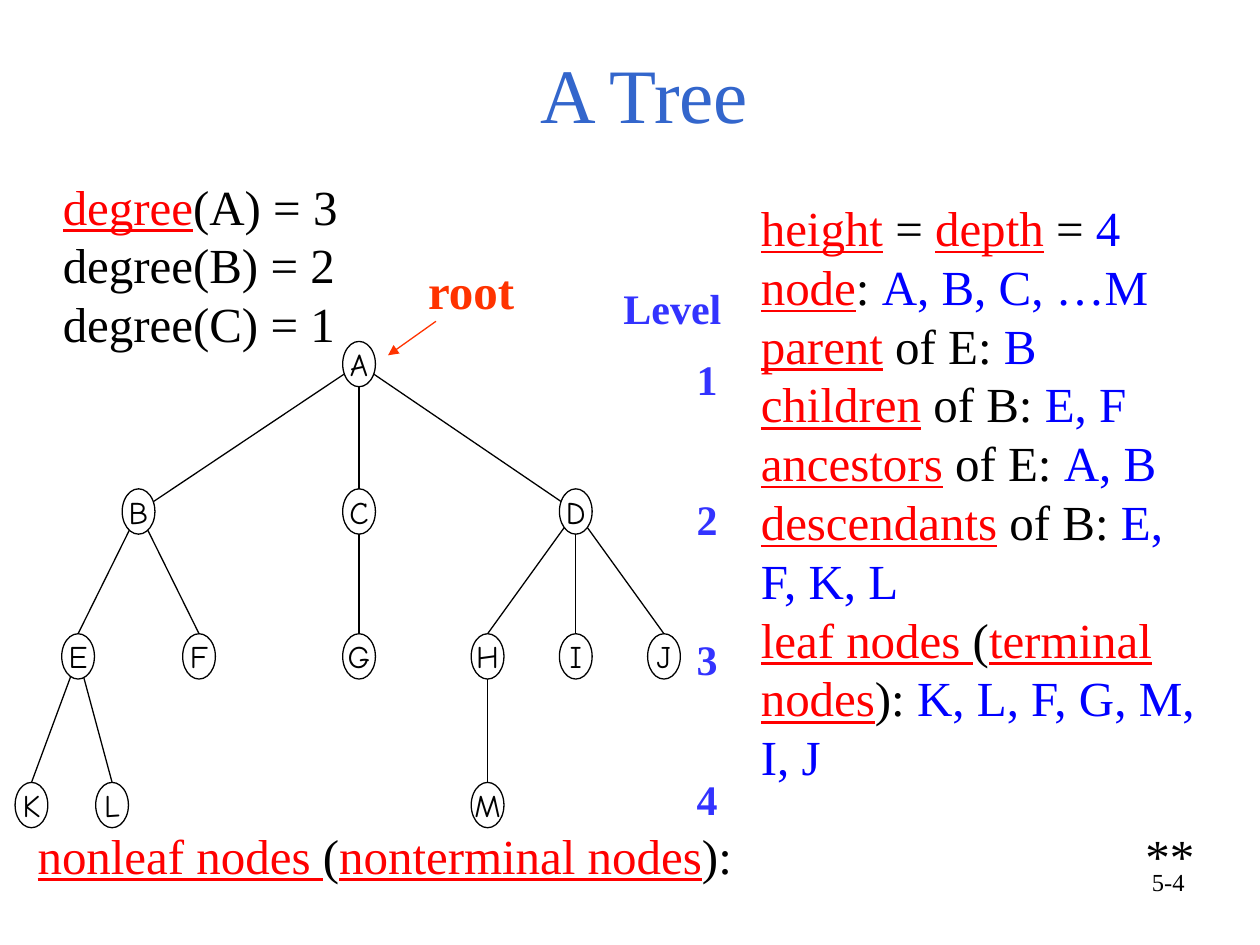
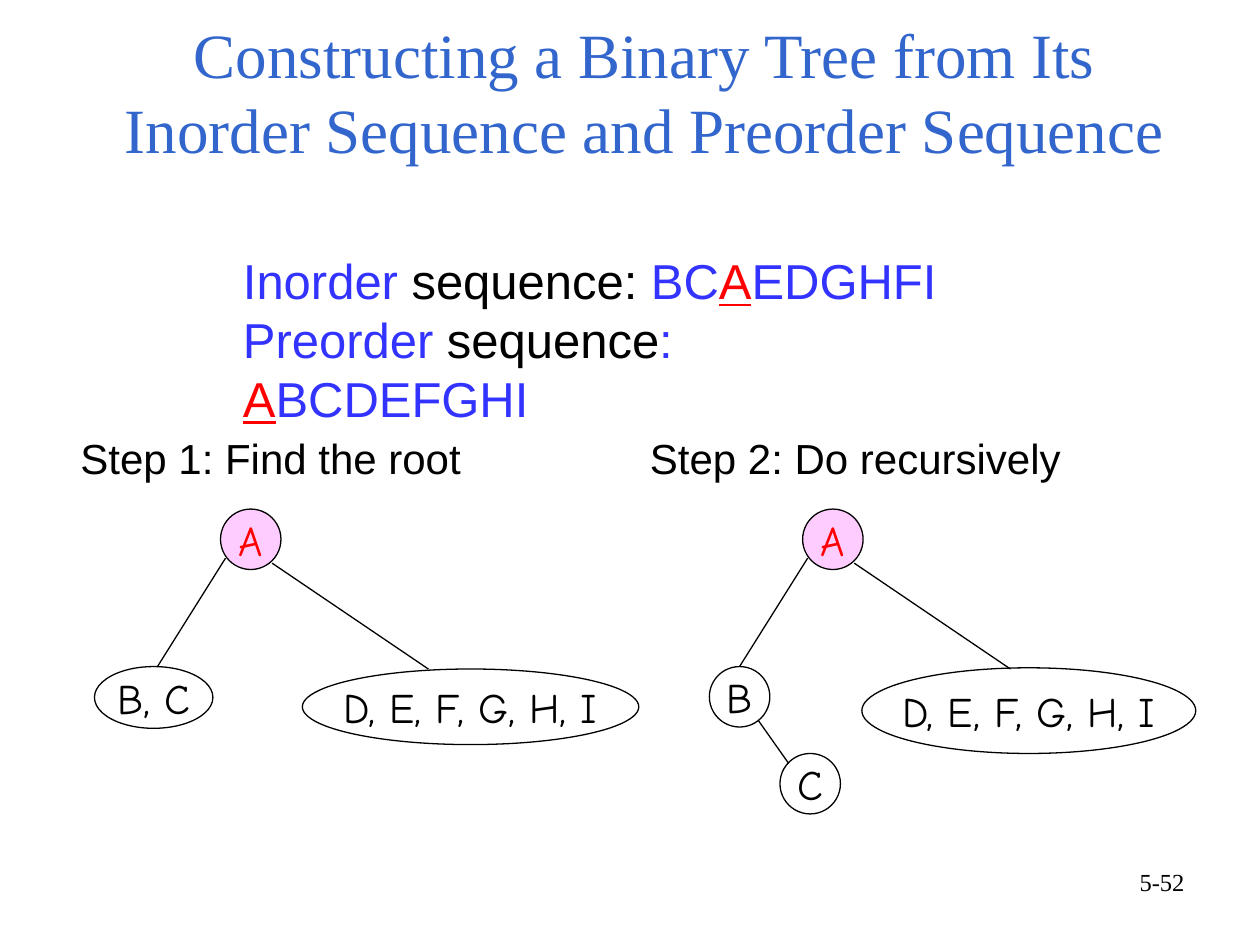
"""Build two slides about trees: terms, and construction from sequences."""
from math import hypot
from typing import NamedTuple, Optional

from lxml.etree import SubElement
from pptx import Presentation
from pptx.dml.color import RGBColor
from pptx.enum.shapes import MSO_CONNECTOR as Link, MSO_SHAPE as Form
from pptx.enum.text import MSO_ANCHOR as Anchor, PP_ALIGN as Align
from pptx.oxml.ns import qn
from pptx.slide import Slide
from pptx.util import Inches, Pt

BLACK = RGBColor(0x00, 0x00, 0x00)
RED = RGBColor(0xFF, 0x00, 0x00)
ORANGE = RGBColor(0xFF, 0x33, 0x00)
BLUE = RGBColor(0x00, 0x00, 0xFF)
VIOLET = RGBColor(0x33, 0x33, 0xFF)
TITLE = RGBColor(0x33, 0x66, 0xCC)
PINK = RGBColor(0xFF, 0xCC, 0xFF)
SERIF, SANS, COMIC = "Times New Roman", "Arial", "Comic Neue"
LEADING = 1.2
NODE_W, NODE_H = 0.26, 0.36
ROWS = [2.71, 3.88, 5.03, 6.21]


class Run(NamedTuple):
    """A piece of text with its colour and underline."""
    text: str
    color: Optional[RGBColor] = None
    under: bool = False


class Box(NamedTuple):
    """A frame in inches."""
    x: float
    y: float
    w: float
    h: float


class Point(NamedTuple):
    """A place in inches."""
    x: float
    y: float


class Node(NamedTuple):
    """An oval of a tree."""
    text: str
    box: Box
    size: int = 24
    color: RGBColor = BLACK
    fill: Optional[RGBColor] = None


def term(text: str) -> Run:
    """Return a red underlined run."""
    return Run(text, RED, True)


def write(frame, paras: list, *, size: int, font: str = SERIF,
          color: RGBColor = BLACK, bold: bool = False, align=Align.LEFT,
          anchor=Anchor.TOP, wrap: bool = True, tab: float = 0,
          lead: float = LEADING) -> None:
    """Fill a text frame with paragraphs made of runs or plain strings."""
    frame.word_wrap = wrap
    frame.vertical_anchor = anchor
    for i, runs in enumerate(paras):
        para = frame.add_paragraph() if i else frame.paragraphs[0]
        para.alignment = align
        if lead:
            para.line_spacing = Pt(round(size * lead, 1))
        if tab:
            stops = SubElement(para._p.get_or_add_pPr(), qn("a:tabLst"))
            SubElement(stops, qn("a:tab"), pos=str(Inches(tab)), algn="r")
        for item in [runs] if isinstance(runs, str) else runs:
            part = Run(item) if isinstance(item, str) else item
            run = para.add_run()
            run.text = part.text
            run.font.name, run.font.size = font, Pt(size)
            run.font.bold, run.font.underline = bold, part.under
            run.font.color.rgb = part.color or color


def label(slide: Slide, box: Box, paras: list, **style) -> None:
    """Add a text box."""
    shape = slide.shapes.add_textbox(*map(Inches, box))
    write(shape.text_frame, paras, **style)


def draw_node(slide: Slide, node: Node) -> None:
    """Draw an oval with its text."""
    oval = slide.shapes.add_shape(Form.OVAL, *map(Inches, node.box))
    oval.shadow.inherit = False
    if node.fill:
        oval.fill.solid()
        oval.fill.fore_color.rgb = node.fill
    else:
        oval.fill.background()
    oval.line.color.rgb, oval.line.width = BLACK, Pt(0.75)
    write(oval.text_frame, [node.text], size=node.size, font=COMIC,
          color=node.color, align=Align.CENTER, anchor=Anchor.MIDDLE,
          wrap=False, lead=0)


def draw_line(slide: Slide, start: Point, end: Point,
              color: RGBColor = BLACK, arrow: bool = False) -> None:
    """Draw a straight line, with an arrowhead at its end on request."""
    line = slide.shapes.add_connector(
        Link.STRAIGHT, *map(Inches, (*start, *end)))
    line.line.color.rgb, line.line.width = color, Pt(0.75)
    props = line._element.spPr
    if arrow:
        SubElement(props.find(qn("a:ln")), qn("a:tailEnd"), type="triangle")
    SubElement(props, qn("a:effectLst"))


def rim(box: Box, goal: Point) -> Point:
    """Return the point where an oval's rim faces a goal."""
    x, y = box.x + box.w / 2, box.y + box.h / 2
    dx, dy = goal.x - x, goal.y - y
    part = 1 / hypot(dx / (box.w / 2), dy / (box.h / 2))
    return Point(x + dx * part, y + dy * part)


def center(box: Box) -> Point:
    """Return the middle of a box."""
    return Point(box.x + box.w / 2, box.y + box.h / 2)


def new_slide(deck, title: str, box: Box, size: int, number: str) -> Slide:
    """Add a blank slide with the shared title and page number."""
    slide = deck.slides.add_slide(deck.slide_layouts[6])
    label(slide, box, [title], size=size, color=TITLE,
          align=Align.CENTER, anchor=Anchor.BOTTOM)
    label(slide, Box(7.17, 6.83, 2.33, 0.52), [number], size=14,
          align=Align.RIGHT)
    return slide


def draw_tree(slide: Slide) -> None:
    """Draw the four-level tree with edges from parent to child."""
    levels = [
        {"A": 2.72},
        {"B": 0.97, "C": 2.72, "D": 4.44},
        {"E": 0.49, "F": 1.45, "G": 2.72, "H": 3.74, "I": 4.44, "J": 5.14},
        {"K": 0.12, "L": 0.76, "M": 3.74},
    ]
    boxes = {name: Box(x, y, NODE_W, NODE_H)
             for y, row in zip(ROWS, levels) for name, x in row.items()}
    for name, box in boxes.items():
        draw_node(slide, Node(name, box, 18))
    kids = {"A": "BCD", "B": "EF", "C": "G", "D": "HIJ", "E": "KL", "H": "M"}
    for name, group in kids.items():
        for kid in group:
            top, low = boxes[name], boxes[kid]
            if name == "A":
                end = rim(low, center(top))
            else:
                end = Point(low.x + low.w / 2, low.y)
            draw_line(slide, rim(top, end), end)


def tree_slide(deck) -> None:
    """Build the slide on tree terms."""
    slide = new_slide(deck, "A Tree", Box(0.75, 0.38, 8.73, 0.77), 44, "5-4")
    draw_tree(slide)
    label(slide, Box(4.85, 2.19, 1.14, 0.5), ["Level"], size=24,
          color=VIOLET, bold=True)
    for i in range(4):
        label(slide, Box(5.43, 2.76 + 1.11 * i, 0.43, 0.5), [str(i + 1)],
              size=24, color=VIOLET, bold=True)
    draw_line(slide, Point(3.46, 2.55), Point(3.08, 2.82), ORANGE, True)
    label(slide, Box(3.3, 2.02, 1.03, 0.57), ["root"], size=28,
          color=ORANGE, bold=True)
    label(slide, Box(0.4, 1.35, 2.57, 1.5),
          [[term("degree"), "(A) = 3"], "degree(B) = 2", "degree(C) = 1"],
          size=28)
    label(slide, Box(0.2, 6.5, 9.4, 0.57),
          [[term("nonleaf nodes "), "(", term("nonterminal nodes"),
            "):\t**"]], size=28, tab=9.18)
    facts = [
        ("node", ": ", "A, B, C, …M"),
        ("parent", " of E: ", "B"),
        ("children", " of B: ", "E, F"),
        ("ancestors", " of E: ", "A, B"),
        ("descendants", " of B: ", "E, F, K, L"),
    ]
    label(slide, Box(5.94, 1.52, 3.66, 4.77), [
        [term("height"), " = ", term("depth"), " = ", Run("4", BLUE)],
        *[[term(word), link, Run(value, BLUE)] for word, link, value in facts],
        [term("leaf nodes "), "(", term("terminal nodes"), "): ",
         Run("K, L, F, G, M, I, J", BLUE)],
    ], size=28)


def draw_split(slide: Slide, x: float) -> None:
    """Draw the root and its two branches."""
    draw_node(slide, Node("A", Box(x, 4.04, 0.48, 0.48), 24, RED, PINK))
    draw_line(slide, Point(x + 0.04, 4.43), Point(x - 0.5, 5.29))
    draw_line(slide, Point(x + 0.41, 4.47), Point(x + 1.65, 5.31))


def build_slide(deck) -> None:
    """Build the slide on constructing a binary tree."""
    slide = new_slide(
        deck, "Constructing a Binary Tree from Its Inorder Sequence"
        " and Preorder Sequence", Box(0.75, 0.21, 8.73, 1.16), 36, "5-52")
    label(slide, Box(1.83, 1.94, 5.98, 1.04), [
        [Run("Inorder", VIOLET), " sequence: ", Run("BC", VIOLET),
         term("A"), Run("EDGHFI", VIOLET)],
        [Run("Preorder", VIOLET), " sequence", Run(": ", VIOLET),
         term("A"), Run("BCDEFGHI", VIOLET)],
    ], size=28, font=SANS, wrap=False)
    steps = [(0.54, 3.23, "Step 1: Find the root", 1.75),
             (5.06, 3.78, "Step 2: Do recursively", 6.37)]
    for x, w, text, root in steps:
        label(slide, Box(x, 3.38, w, 0.5), [text], size=24, font=SANS)
        draw_split(slide, root)
    rest = "D, E, F, G, H, I"
    for node in [
        Node("B, C", Box(0.75, 5.29, 0.94, 0.49)),
        Node(rest, Box(2.4, 5.31, 2.67, 0.6)),
        Node(rest, Box(6.84, 5.3, 2.65, 0.68)),
        Node("B", Box(5.63, 5.29, 0.48, 0.48)),
        Node("C", Box(6.19, 5.98, 0.48, 0.48)),
    ]:
        draw_node(slide, node)
    draw_line(slide, Point(6.02, 5.72), Point(6.26, 6.06))


def main() -> None:
    """Build and save the deck."""
    deck = Presentation()
    deck.slide_width, deck.slide_height = Inches(10), Inches(7.5)
    tree_slide(deck)
    build_slide(deck)
    deck.save("out.pptx")


if __name__ == "__main__":
    main()
